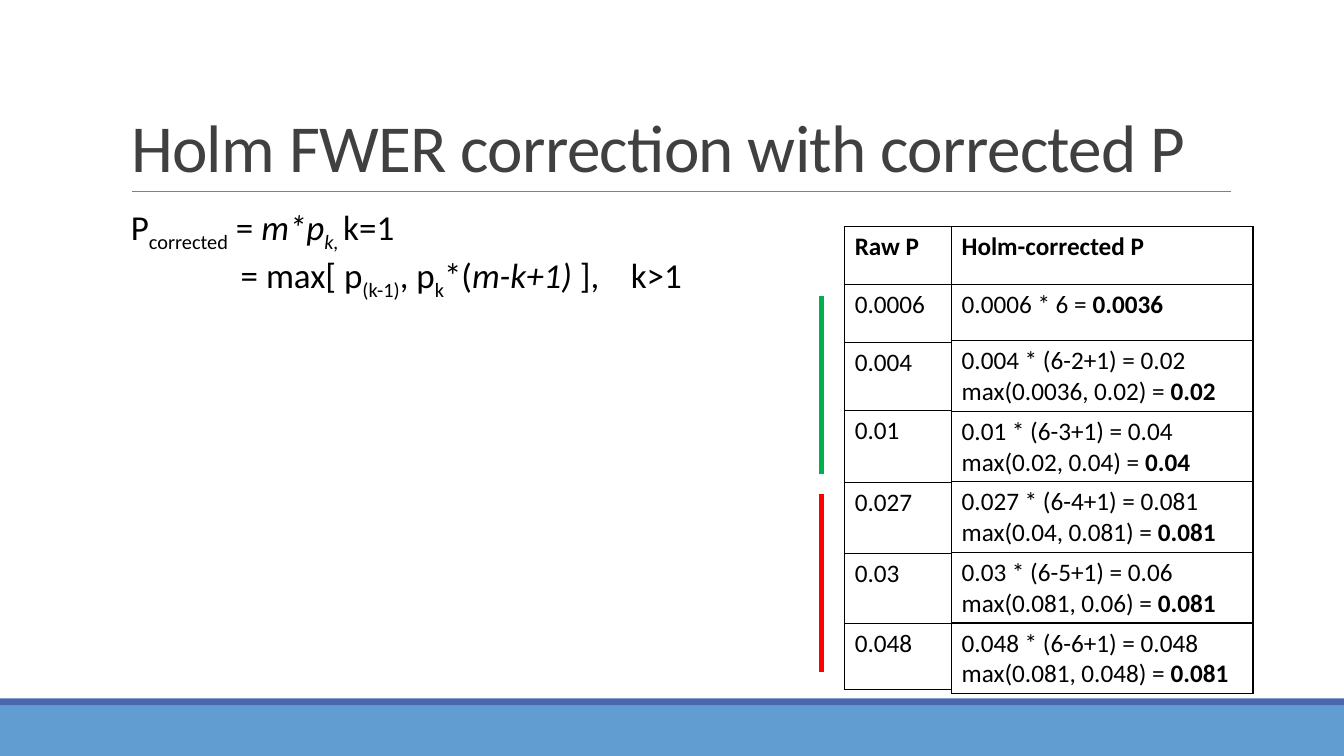
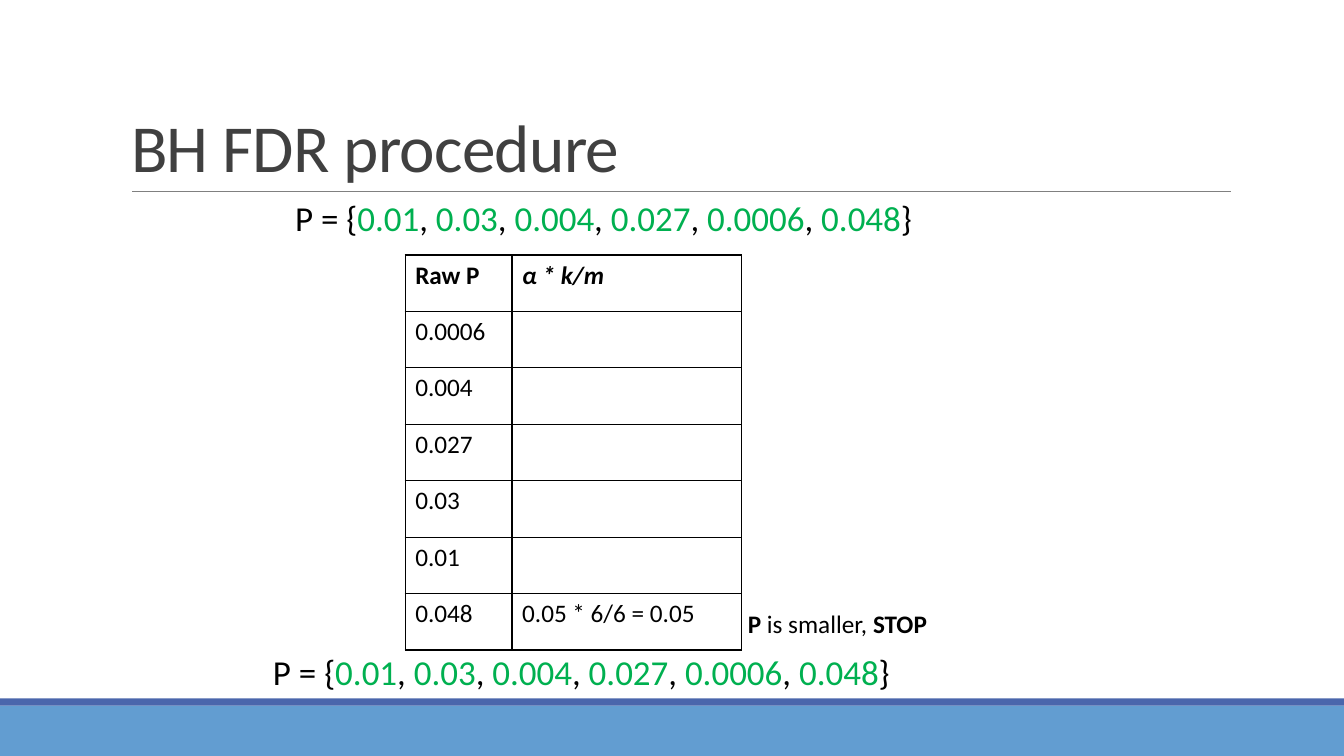
from dataclasses import dataclass, field
from typing import Any

from lxml.etree import SubElement
from pptx import Presentation
from pptx.dml.color import RGBColor
from pptx.enum.shapes import MSO_CONNECTOR, MSO_SHAPE
from pptx.enum.text import MSO_ANCHOR, MSO_AUTO_SIZE, PP_ALIGN
from pptx.oxml.ns import qn
from pptx.util import Emu, Inches, Pt

SLIDE_WIDTH = Inches(13.33)
SLIDE_HEIGHT = Inches(7.5)
GRID_COLUMNS = 40
GRID_ROWS = 30
TITLE_ONLY = 5


@dataclass(frozen=True)
class Theme:
    font: str = "Calibri"
    title_size: float = 48
    body_size: float = 25
    table_size: float = 18
    title_spacing: int = -50
    subscript: int = -25000
    border_width: float = 1
    rule_width: float = 0.5
    marker_width: float = 4
    ink: str = "000000"
    title: str = "404040"
    rule: str = "808080"
    band: str = "629DD1"
    stripe: str = "4A66AC"
    green: str = "00B050"
    red: str = "FF0000"


THEME = Theme()
BOLD = {"bold": True}
ITALIC = {"italic": True}


@dataclass(frozen=True)
class Span:
    text: str
    style: dict[str, Any] = field(default_factory=dict)
    color: str = THEME.ink
    low: bool = False


Line = list[Span]


@dataclass(frozen=True)
class Frame:
    column: float
    row: float
    columns: float
    rows: float

    def box(self) -> tuple[Emu, Emu, Emu, Emu]:
        return across(self.column), down(self.row), across(self.columns), down(self.rows)


@dataclass(frozen=True)
class Stroke:
    start: tuple[float, float]
    end: tuple[float, float]
    color: str
    width: float


@dataclass(frozen=True)
class Grid:
    column: float
    row: float
    columns: float
    heights: list[float]
    cells: list[list[Line]]


TITLE_FRAME = Frame(3.6, 1.24, 33, 6.36)
BANDS = [
    (Frame(0, 28, GRID_COLUMNS, 2), THEME.band),
    (Frame(0, 27.72, GRID_COLUMNS, 0.28), THEME.stripe),
]
TITLE_RULE = Stroke((3.93, 7.6), (36.63, 7.6), THEME.rule, THEME.rule_width)


def across(columns: float) -> Emu:
    return Emu(round(SLIDE_WIDTH * columns / GRID_COLUMNS))


def down(rows: float) -> Emu:
    return Emu(round(SLIDE_HEIGHT * rows / GRID_ROWS))


def assign(target: Any, values: dict[str, Any]) -> None:
    for name, value in values.items():
        setattr(target, name, value)


def write_line(para: Any, line: Line, size: float) -> None:
    for part in line:
        span = para.add_run()
        span.text = part.text
        assign(span.font, {"name": THEME.font, "size": Pt(size), **part.style})
        span.font.color.rgb = RGBColor.from_string(part.color)
        if part.low:
            span.font._element.set("baseline", str(THEME.subscript))


def write_lines(text_frame: Any, lines: list[Line], size: float) -> None:
    for index, line in enumerate(lines):
        para = text_frame.add_paragraph() if index else text_frame.paragraphs[0]
        write_line(para, line, size)


def add_text(page: Any, frame: Frame, lines: list[Line], size: float) -> Any:
    box = page.shapes.add_textbox(*frame.box())
    box.text_frame.word_wrap = True
    write_lines(box.text_frame, lines, size)
    return box


def set_tabs(para: Any, stops: list[float]) -> None:
    tabs = SubElement(para._p.get_or_add_pPr(), qn("a:tabLst"))
    for stop in stops:
        SubElement(tabs, qn("a:tab"), pos=str(across(stop)), algn="l")


def add_band(page: Any, frame: Frame, color: str) -> Any:
    band = page.shapes.add_shape(MSO_SHAPE.RECTANGLE, *frame.box())
    band.shadow.inherit = False
    band.fill.solid()
    band.fill.fore_color.rgb = RGBColor.from_string(color)
    band.line.fill.background()
    return band


def add_stroke(page: Any, stroke: Stroke) -> Any:
    (left, top), (right, bottom) = stroke.start, stroke.end
    connector = page.shapes.add_connector(
        MSO_CONNECTOR.STRAIGHT, across(left), down(top), across(right), down(bottom)
    )
    connector.line.color.rgb = RGBColor.from_string(stroke.color)
    connector.line.width = Pt(stroke.width)
    SubElement(connector._element.spPr, qn("a:effectLst"))
    return connector


def add_borders(cell: Any) -> None:
    properties = cell._tc.get_or_add_tcPr()
    for index, side in enumerate(("lnL", "lnR", "lnT", "lnB")):
        edge = properties.makeelement(qn(f"a:{side}"), {"w": str(Pt(THEME.border_width))})
        fill = SubElement(edge, qn("a:solidFill"))
        SubElement(fill, qn("a:srgbClr"), val=THEME.ink)
        properties.insert(index, edge)


def add_grid(page: Any, grid: Grid) -> None:
    frame = Frame(grid.column, grid.row, grid.columns, sum(grid.heights))
    table = page.shapes.add_table(len(grid.cells), 1, *frame.box()).table
    assign(table, {"first_row": False, "horz_banding": False})
    for index, (height, lines) in enumerate(zip(grid.heights, grid.cells)):
        table.rows[index].height = down(height)
        cell = table.cell(index, 0)
        cell.fill.background()
        add_borders(cell)
        write_lines(cell.text_frame, lines, THEME.table_size)


def add_page(deck: Any, title: str) -> Any:
    page = deck.slides.add_slide(deck.slide_layouts[TITLE_ONLY])
    box = page.shapes.title
    assign(box, dict(zip(("left", "top", "width", "height"), TITLE_FRAME.box())))
    assign(box.text_frame, {
        "vertical_anchor": MSO_ANCHOR.BOTTOM,
        "auto_size": MSO_AUTO_SIZE.NONE,
        "word_wrap": True,
    })
    para = box.text_frame.paragraphs[0]
    assign(para, {"alignment": PP_ALIGN.LEFT, "line_spacing": 0.85})
    write_line(para, [Span(title, color=THEME.title)], THEME.title_size)
    para.runs[0].font._element.set("spc", str(THEME.title_spacing))
    return page


def furnish_layout(deck: Any, page: Any) -> None:
    tree = deck.slide_layouts[TITLE_ONLY].shapes.element
    parts = [add_band(page, frame, color) for frame, color in BANDS]
    for part in [*parts, add_stroke(page, TITLE_RULE)]:
        tree.append(part._element)


def raw_cells(values: list[str]) -> list[list[Line]]:
    return [[[Span("Raw P", BOLD)]], *([[Span(value)]] for value in values)]


def corrected_cell(first: str, second: str, result: str) -> list[Line]:
    total = [Span(f"{second} = "), Span(result, BOLD)]
    return [[Span(first)], total] if first else [total]


def p_set(values: list[str]) -> Line:
    line = [Span("P = {")]
    for index, value in enumerate(values):
        if index:
            line.append(Span(", "))
        line.append(Span(value, color=THEME.green))
    return [*line, Span("}")]


def build_holm(page: Any) -> None:
    formula = [
        [Span("P"), Span("corrected", low=True), Span(" = "), Span("m*p", ITALIC),
         Span("k, ", ITALIC, low=True), Span("k=1")],
        [Span("\t= max[ p"), Span("(k-1)", low=True), Span(", p"), Span("k", low=True),
         Span("*("), Span("m-k+1) ", ITALIC), Span("],\tk>1")],
    ]
    box = add_text(page, Frame(3.6, 7.96, 21.69, 3.76), formula, THEME.body_size)
    set_tabs(box.text_frame.paragraphs[1], [3.27, 14.88])

    raw = raw_cells(["0.0006", "0.004", "0.01", "0.027", "0.03", "0.048"])
    corrected = [
        [[Span("Holm-corrected P", BOLD)]],
        corrected_cell("", "0.0006 * 6", "0.0036"),
        corrected_cell("0.004 * (6-2+1) = 0.02", "max(0.0036, 0.02)", "0.02"),
        corrected_cell("0.01 * (6-3+1) = 0.04", "max(0.02, 0.04)", "0.04"),
        corrected_cell("0.027 * (6-4+1) = 0.081", "max(0.04, 0.081)", "0.081"),
        corrected_cell("0.03 * (6-5+1) = 0.06", "max(0.081, 0.06)", "0.081"),
        corrected_cell("0.048 * (6-6+1) = 0.048", "max(0.081, 0.048)", "0.081"),
    ]
    raw_heights = [2.28, 2.32, 2.68, 2.88, 2.8, 2.8, 2.6]
    add_grid(page, Grid(25.14, 9, 3.18, raw_heights, raw))
    add_grid(page, Grid(28.32, 9, 8.97, [2.28, 2.24, *[2.8] * 5], corrected))
    for top, bottom, color in ((11.76, 18.8, THEME.green), (19.6, 26.68, THEME.red)):
        add_stroke(page, Stroke((24.45, top), (24.45, bottom), color, THEME.marker_width))


def build_bh(page: Any) -> None:
    values = p_set(["0.01", "0.03", "0.004", "0.027", "0.0006", "0.048"])
    for column, row in ((8.49, 7.6), (7.83, 25.6)):
        add_text(page, Frame(column, row, 21.69, 2.08), [values], THEME.body_size)

    raw = raw_cells(["0.0006", "0.004", "0.027", "0.03", "0.01", "0.048"])
    heading = [[Span("α * k/m", {**BOLD, **ITALIC})]]
    blanks = [[[Span("")]] for _ in raw[2:]]
    thresholds = [heading, *blanks, [[Span("0.05 * 6/6 = 0.05")]]]
    heights = [2.24] * len(raw)
    add_grid(page, Grid(12.06, 10.12, 3.18, heights, raw))
    add_grid(page, Grid(15.24, 10.12, 6.84, heights, thresholds))
    note = [Span("P ", BOLD), Span("is smaller, "), Span("STOP", BOLD)]
    add_text(page, Frame(21.96, 23.96, 10.02, 1.6), [note], THEME.table_size)


def main() -> None:
    deck = Presentation()
    assign(deck, {"slide_width": SLIDE_WIDTH, "slide_height": SLIDE_HEIGHT})
    holm = add_page(deck, "Holm FWER correction with corrected P")
    furnish_layout(deck, holm)
    build_holm(holm)
    build_bh(add_page(deck, "BH FDR procedure"))
    deck.save("out.pptx")


if __name__ == "__main__":
    main()
